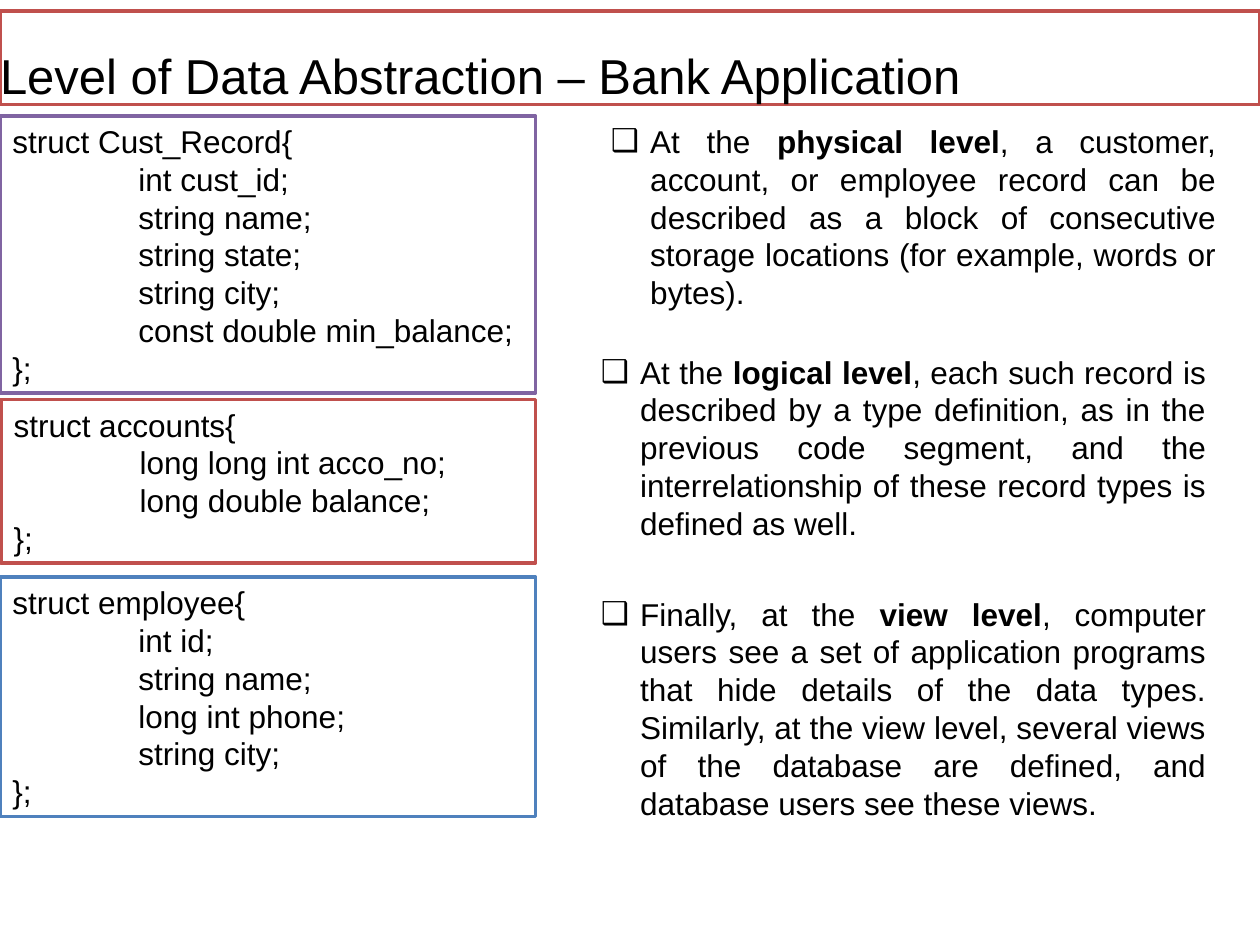
from lxml import etree
from pptx import Presentation
from pptx.dml.color import RGBColor
from pptx.enum import shapes, text
from pptx.oxml.ns import qn
from pptx.util import Pt

BLACK = RGBColor(0x00, 0x00, 0x00)
WHITE = RGBColor(0xFF, 0xFF, 0xFF)
RED = RGBColor(0xC0, 0x50, 0x4D)
PURPLE = RGBColor(0x80, 0x64, 0xA2)
BLUE = RGBColor(0x4F, 0x81, 0xBD)

TITLE = "Level of Data Abstraction – Bank Application"
STRUCTS = [
    ((0, 66.24, 306, 158.4), PURPLE, "Cust_Record",
     ["int cust_id;", "string name;", "string state;", "string city;",
      "const double min_balance;"]),
    ((0.72, 228.24, 305.28, 93.6), RED, "accounts",
     ["long long int acco_no;", "long double balance;"]),
    ((0, 329.76, 306, 136.8), BLUE, "employee",
     ["int id;", "string name;", "long int phone;", "string city;"]),
]
LEVELS = [
    ((342, 66.24, 360, 115.2), "At the ", "physical level",
     ", a customer, account, or employee record can be described as a block "
     "of consecutive storage locations (for example, words or bytes)."),
    ((336.24, 198, 360, 115.2), "At the ", "logical level",
     ", each such record is described by a type definition, as in the "
     "previous code segment, and the interrelationship of these record types "
     "is defined as well."),
    ((336.24, 336.24, 360, 136.8), "Finally, at the ", "view level",
     ", computer users see a set of application programs that hide details of "
     "the data types. Similarly, at the view level, several views of the "
     "database are defined, and database users see these views."),
]


def apply(obj, **fmt):
    for name, value in fmt.items():
        setattr(obj, name, value)


def set_frame(tf, anchor=text.MSO_ANCHOR.TOP, insets=(7.2, 3.6, 7.2, 3.6)):
    left, top, right, bottom = map(Pt, insets)
    apply(tf, word_wrap=True, auto_size=text.MSO_AUTO_SIZE.SHAPE_TO_FIT_TEXT,
          vertical_anchor=anchor, margin_left=left, margin_top=top,
          margin_right=right, margin_bottom=bottom)


def set_outline(sp, color):
    sp.fill.solid()
    sp.fill.fore_color.rgb = WHITE
    sp.line.color.rgb = color
    sp.line.width = Pt(2)


def add_run(p, words, size=18, bold=False):
    r = p.add_run()
    r.text = words
    apply(r.font, name="Arial", size=Pt(size), bold=bold)
    r.font.color.rgb = BLACK


def add_tab(p, position):
    tabs = etree.SubElement(p._p.get_or_add_pPr(), qn("a:tabLst"))
    etree.SubElement(tabs, qn("a:tab"), pos=str(Pt(position)), algn="l")


def add_bullet(p, char, indent):
    pPr = p._p.get_or_add_pPr()
    pPr.set("marL", str(Pt(indent)))
    pPr.set("indent", str(Pt(-indent)))
    clr = etree.SubElement(pPr, qn("a:buClr"))
    etree.SubElement(clr, qn("a:srgbClr"), val=str(BLACK))
    etree.SubElement(pPr, qn("a:buFont"), typeface="Arial")
    etree.SubElement(pPr, qn("a:buChar"), char=char)


def place_title(s, box):
    sp = s.shapes.title
    left, top, width, height = map(Pt, box)
    apply(sp, left=left, top=top, width=width, height=height)
    set_outline(sp, RED)
    tf = sp.text_frame
    set_frame(tf, text.MSO_ANCHOR.BOTTOM, (0, 0.72, 0, 0))
    p = tf.paragraphs[0]
    p.alignment = text.PP_ALIGN.LEFT
    add_run(p, TITLE, 28)


def add_struct(s, box, color, name, fields):
    sp = s.shapes.add_shape(shapes.MSO_SHAPE.RECTANGLE, *map(Pt, box))
    sp.shadow.inherit = False
    set_outline(sp, color)
    tf = sp.text_frame
    set_frame(tf)
    lines = [f"struct {name}{{", *("\t" + field for field in fields), "};"]
    for i, line in enumerate(lines):
        p = tf.add_paragraph() if i else tf.paragraphs[0]
        p.alignment = text.PP_ALIGN.LEFT
        add_tab(p, 72)
        add_run(p, line)


def add_level(s, box, lead, term, rest):
    tf = s.shapes.add_textbox(*map(Pt, box)).text_frame
    set_frame(tf)
    p = tf.paragraphs[0]
    p.alignment = text.PP_ALIGN.JUSTIFY
    add_bullet(p, "❑", 22.5)
    add_run(p, lead)
    add_run(p, term, bold=True)
    add_run(p, rest)


def main():
    prs = Presentation()
    apply(prs, slide_width=Pt(720), slide_height=Pt(540))
    s = prs.slides.add_slide(prs.slide_layouts[5])
    place_title(s, (0, 25.2, 720, 34.56))
    for struct in STRUCTS:
        add_struct(s, *struct)
    for level in LEVELS:
        add_level(s, *level)
    prs.save("out.pptx")


if __name__ == "__main__":
    main()
